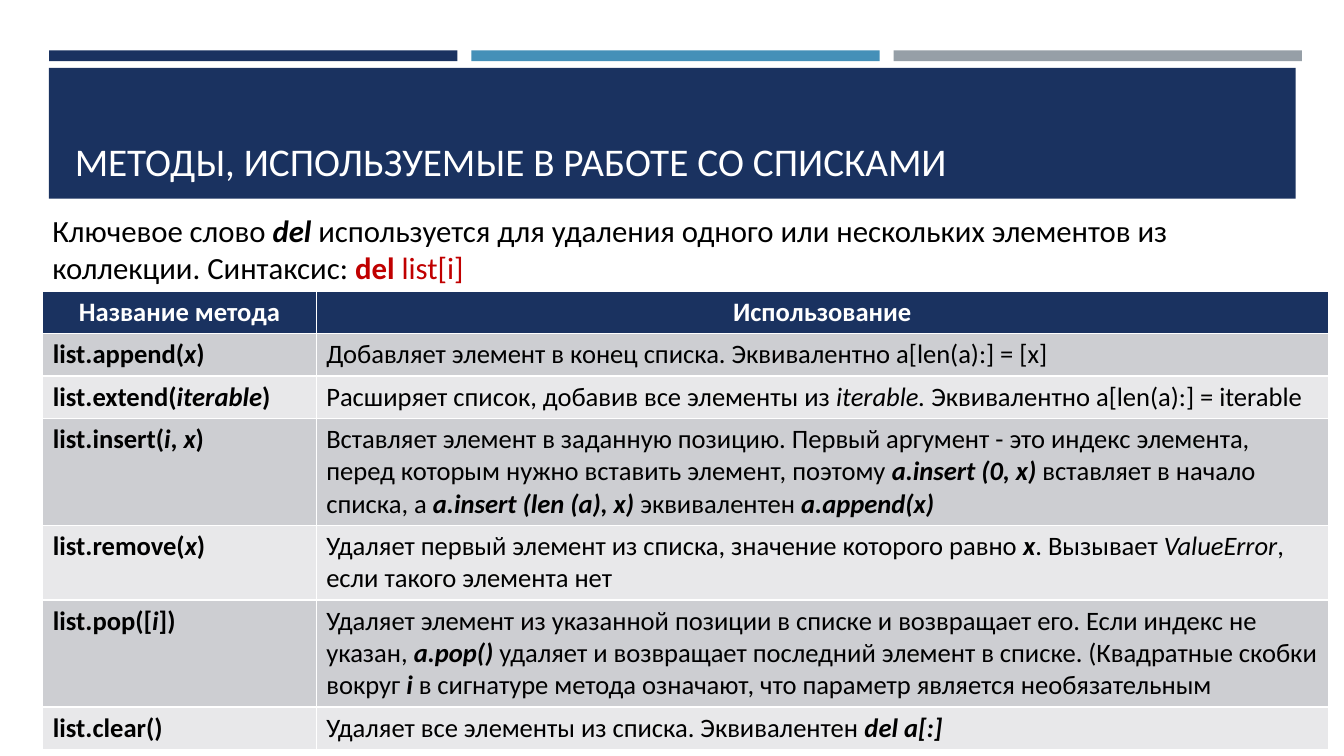
from pptx import Presentation
from pptx.dml.color import RGBColor
from pptx.enum.shapes import MSO_SHAPE
from pptx.enum.text import MSO_ANCHOR, MSO_AUTO_SIZE, PP_ALIGN
from pptx.util import Cm, Pt

RECTANGLE = MSO_SHAPE.RECTANGLE
BOTTOM = MSO_ANCHOR.BOTTOM
FIT_SHAPE = MSO_AUTO_SIZE.SHAPE_TO_FIT_TEXT
LEFT, CENTER = PP_ALIGN.LEFT, PP_ALIGN.CENTER
FONT = "Calibri"
NAVY, BLUE, GRAY = "1A3260", "4590B8", "969FA7"
WHITE, BLACK, RED = "FFFFFF", "000000", "C00000"
BANDS = ["E8E8EA", "CDCED2"]


def paint(target, color):
    if hasattr(target, "solid"):
        target.solid()
        target = target.fore_color
    target.rgb = RGBColor.from_string(color)


def write(paragraph, parts, size, color, align=LEFT, bold=None):
    paragraph.alignment = align
    paragraph.font.name = FONT
    paragraph.font.size = Pt(size)
    paragraph.font.bold = bold
    paint(paragraph.font.color, color)
    for text, style in parts:
        run = paragraph.add_run()
        run.text = text
        if "b" in style:
            run.font.bold = True
        if "i" in style:
            run.font.italic = True
        if "r" in style:
            paint(run.font.color, RED)


methods = [
    ([("Название метода", "")], [("Использование", "")]),
    ([("list.append(", ""), ("x", "i"), (")", "")],
     [("Добавляет элемент в конец списка. Эквивалентно a[len(a):] = [x]", "")]),
    ([("list.extend(", ""), ("iterable", "i"), (")", "")],
     [("Расширяет список, добавив все элементы из ", ""), ("iterable. ", "i"),
      ("Эквивалентно a[len(a):] = iterable", "")]),
    ([("list.insert(", ""), ("i", "i"), (", ", ""), ("x", "i"), (")", "")],
     [("Вставляет элемент в заданную позицию. Первый аргумент - это индекс элемента, "
       "перед которым нужно вставить элемент, поэтому ", ""),
      ("a.insert (0, x) ", "bi"), ("вставляет в начало списка, а ", ""),
      ("a.insert (len (a), x) ", "bi"), ("эквивалентен ", ""), ("a.append(x)", "bi")]),
    ([("list.remove(", ""), ("x", "i"), (")", "")],
     [("Удаляет первый элемент из списка, значение которого равно ", ""), ("x", "bi"),
      (". Вызывает ", ""), ("ValueError", "i"), (", если такого элемента нет", "")]),
    ([("list.pop([", ""), ("i", "i"), ("])", "")],
     [("Удаляет элемент из указанной позиции в списке и возвращает его. "
       "Если индекс не указан, ", ""), ("a.pop() ", "bi"),
      ("удаляет и возвращает последний элемент в списке. (Квадратные скобки вокруг ", ""),
      ("i ", "bi"),
      ("в сигнатуре метода означают, что параметр является необязательным", "")]),
    ([("list.clear()", "")],
     [("Удаляет все элементы из списка. Эквивалентен ", ""), ("del a[:]", "bi")]),
]

prs = Presentation()
prs.slide_width, prs.slide_height = Cm(33.87), Cm(19.05)
slide = prs.slides.add_slide(prs.slide_layouts[5])

blocks = [(1.24 + 10.64 * i, 1.27, 10.29, 0.27, color)
          for i, color in enumerate([NAVY, BLUE, GRAY])]
blocks.append((1.23, 1.71, 31.42, 3.3, NAVY))
for left, top, width, height, color in blocks:
    block = slide.shapes.add_shape(RECTANGLE, Cm(left), Cm(top), Cm(width), Cm(height))
    block.shadow.inherit = False
    paint(block.fill, color)
    block.line.fill.background()

title = slide.shapes.title
title.left, title.top, title.width, title.height = Cm(1.63), Cm(1.96), Cm(30.63), Cm(2.82)
title.text_frame.vertical_anchor = BOTTOM
write(title.text_frame.paragraphs[0],
      [("МЕТОДЫ, ИСПОЛЬЗУЕМЫЕ В РАБОТЕ СО СПИСКАМИ", "")], 28, WHITE)
title.element.getparent().append(title.element)

table = slide.shapes.add_table(len(methods), 2, Cm(1.08), Cm(7.34),
                               Cm(32.39), Cm(1.05 * len(methods))).table
table.columns[0].width, table.columns[1].width = Cm(6.89), Cm(25.5)
for r, method in enumerate(methods):
    header = r == 0
    for c, parts in enumerate(method):
        cell = table.cell(r, c)
        paint(cell.fill, NAVY if header else BANDS[r % 2])
        write(cell.text_frame.paragraphs[0], parts, 19, WHITE if header else BLACK,
              CENTER if header else LEFT, header or c == 0)

intro = slide.shapes.add_textbox(Cm(1.07), Cm(5.21), Cm(31.75), Cm(2.13)).text_frame
intro.word_wrap = True
intro.auto_size = FIT_SHAPE
write(intro.paragraphs[0],
      [("Ключевое слово ", ""), ("del", "bi"),
       (" используется для удаления одного или нескольких элементов из коллекции. "
        "Синтаксис: ", ""), ("del", "br"), (" list[i]", "r")], 22, BLACK)

prs.save("out.pptx")
